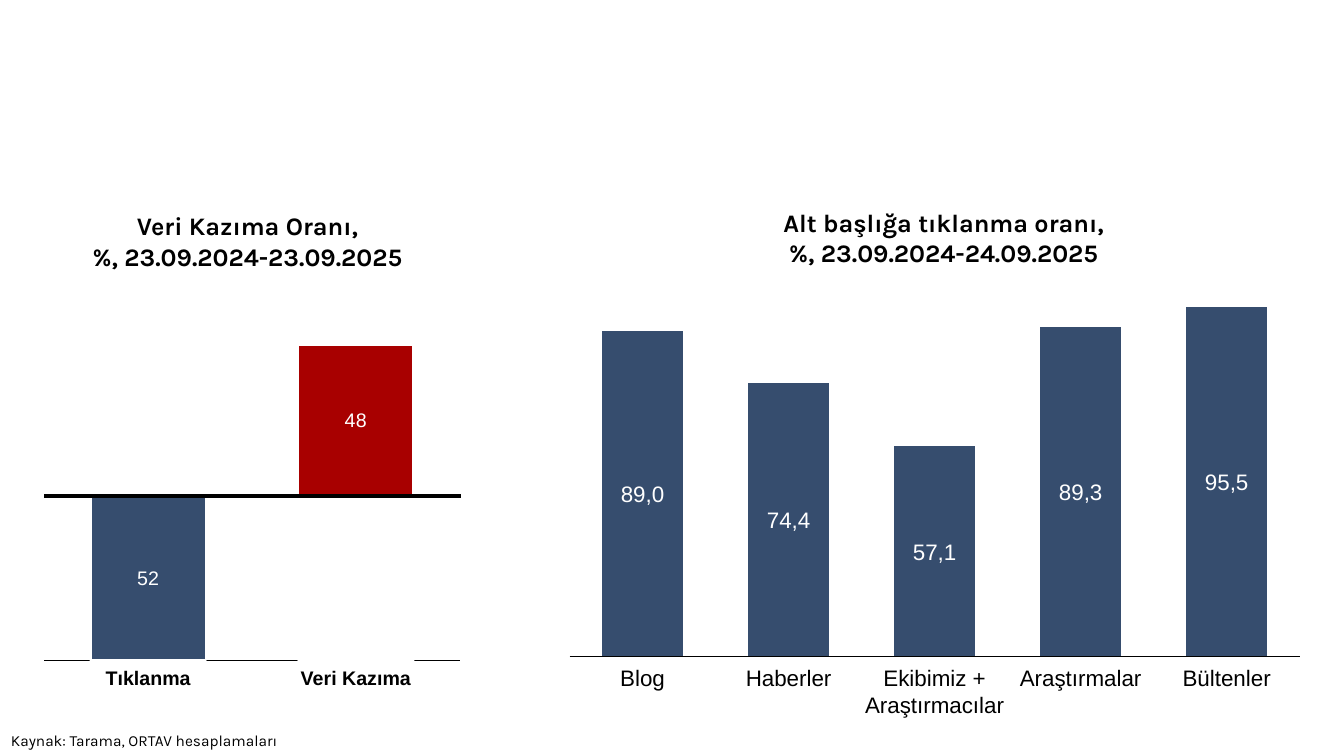
from dataclasses import dataclass

from lxml import etree
from pptx import Presentation
from pptx.chart.data import CategoryChartData
from pptx.dml.color import RGBColor
from pptx.enum.chart import XL_CHART_TYPE as ChartType
from pptx.enum.chart import XL_TICK_LABEL_POSITION as TickLabels
from pptx.enum.chart import XL_TICK_MARK as TickMark
from pptx.enum.shapes import MSO_CONNECTOR as Connector
from pptx.enum.text import MSO_ANCHOR as Anchor
from pptx.enum.text import PP_ALIGN as Align
from pptx.oxml.ns import qn
from pptx.util import Inches, Pt


@dataclass(frozen=True)
class Theme:
    navy: RGBColor = RGBColor(0x36, 0x4D, 0x6E)
    red: RGBColor = RGBColor(0xA8, 0x00, 0x00)
    black: RGBColor = RGBColor(0, 0, 0)
    white: RGBColor = RGBColor(0xFF, 0xFF, 0xFF)
    heading_font: str = "Karla"
    label_font: str = "Arial"
    heading_size: int = 18
    category_size: int = 16
    small_label_size: int = 14
    source_size: int = 11
    chart_size: int = 10


THEME = Theme()

# Chart frames and inner plot areas: left, top, width, height
SCRAPING_FRAME = (0.35, 3.09, 4.3, 3.8)
SCRAPING_PLOT = (0.021, 0.088, 0.958, 0.823)
CLICKS_FRAME = (5.56, 2.95, 7.42, 3.66)
CLICKS_PLOT = (0.012, 0.025, 0.976, 0.948)
AXIS_MAX = 100

# Category, printed rate, bar height on the axis
CLICKS = [
    ("Blog", "89,0", 93),
    ("Haberler", "74,4", 78),
    ("Ekibimiz + Araştırmacılar", "57,1", 60),
    ("Araştırmalar", "89,3", 94),
    ("Bültenler", "95,5", 100),
]
SCRAPING_CATEGORIES = ["Tıklanma", "Veri Kazıma"]


def style_font(font, size, color, name, bold=False):
    font.size, font.name, font.bold = Pt(size), name, bold
    font.color.rgb = color


def add_text(slide, box, lines, size, color=THEME.black, name=THEME.label_font,
             bold=False, align=Align.CENTER, anchor=Anchor.TOP, padded=False):
    shape = slide.shapes.add_textbox(*map(Inches, box))
    frame = shape.text_frame
    frame.word_wrap = True
    frame.vertical_anchor = anchor
    if not padded:
        frame.margin_left = frame.margin_right = 0
        frame.margin_top = frame.margin_bottom = 0
    frame.text = "\n".join(lines)
    for paragraph in frame.paragraphs:
        paragraph.alignment = align
        style_font(paragraph.font, size, color, name, bold)


def add_heading(slide, box, lines):
    add_text(slide, box, lines, THEME.heading_size, name=THEME.heading_font,
             bold=True, padded=True)


def set_plot_area(chart, plot):
    plot_area = chart._chartSpace.find(".//" + qn("c:plotArea"))
    for layout in plot_area.findall(qn("c:layout")):
        plot_area.remove(layout)
    layout = etree.Element(qn("c:layout"))
    manual = etree.SubElement(layout, qn("c:manualLayout"))
    settings = [("layoutTarget", "inner"), ("xMode", "edge"), ("yMode", "edge")]
    settings += zip("xywh", map(str, plot))
    for tag, value in settings:
        etree.SubElement(manual, qn(f"c:{tag}")).set("val", value)
    plot_area.insert(0, layout)


def add_column_chart(slide, frame, plot, categories, series):
    """Add a stacked column chart; series holds (name, values, color)."""
    data = CategoryChartData()
    data.categories = categories
    for name, values, _ in series:
        data.add_series(name, values)
    chart = slide.shapes.add_chart(
        ChartType.COLUMN_STACKED, *map(Inches, frame), data).chart
    chart.has_legend = chart.has_title = False
    style_font(chart.font, THEME.chart_size, THEME.black, THEME.heading_font)
    chart.plots[0].gap_width, chart.plots[0].overlap = 80, 100
    chart.plots[0].vary_by_categories = False

    value_axis = chart.value_axis
    value_axis.minimum_scale, value_axis.maximum_scale = 0, AXIS_MAX
    value_axis.has_major_gridlines = False
    value_axis.visible = False
    category_axis = chart.category_axis
    category_axis.tick_label_position = TickLabels.NONE
    category_axis.major_tick_mark = category_axis.minor_tick_mark = TickMark.NONE
    category_axis.format.line.color.rgb = THEME.black
    category_axis.format.line.width = Pt(0.75)

    for column, (_, _, color) in zip(chart.series, series):
        column.invert_if_negative = False
        column.format.fill.solid()
        column.format.fill.fore_color.rgb = color
    set_plot_area(chart, plot)
    return chart


def category_centers(frame, plot, count):
    pitch = frame[2] * plot[2] / count
    start = frame[0] + frame[2] * plot[0]
    return [start + pitch * (index + 0.5) for index in range(count)]


def add_category_labels(slide, centers, names, top, size, bold=False):
    width = 1.4
    for center, name in zip(centers, names):
        add_text(slide, (center - width / 2, top, width, 0.27), [name], size, bold=bold)


def add_scraping_panel(slide):
    chart = add_column_chart(
        slide, SCRAPING_FRAME, SCRAPING_PLOT, SCRAPING_CATEGORIES,
        [("Tıklanma", (52, 52), THEME.navy), ("Veri Kazıma", (None, 48), THEME.red)])
    clicked, scraped = chart.series

    # White outlines, and a white base that lifts the red column
    base = clicked.points[1].format
    base.fill.solid()
    base.fill.fore_color.rgb = THEME.white
    for item in (clicked.format, scraped.format, base):
        item.line.color.rgb = THEME.white
        item.line.width = Pt(1.5)

    # One value label on each visible column
    for index, column in enumerate((clicked, scraped)):
        column.data_labels.show_value = False
        style_font(column.points[index].data_label.font,
                   THEME.small_label_size, THEME.white, THEME.label_font)

    # Dividing line between the two columns
    divider = slide.shapes.add_connector(
        Connector.STRAIGHT, Inches(0.44), Inches(4.92), Inches(4.57), Inches(4.92))
    divider.line.color.rgb = THEME.black
    divider.line.width = Pt(3)
    etree.SubElement(divider._element.spPr, qn("a:effectLst"))

    centers = category_centers(SCRAPING_FRAME, SCRAPING_PLOT, len(SCRAPING_CATEGORIES))
    add_category_labels(slide, centers, SCRAPING_CATEGORIES, 6.61,
                        THEME.small_label_size, bold=True)


def add_clicks_panel(slide):
    names, rates, heights = zip(*CLICKS)
    add_column_chart(slide, CLICKS_FRAME, CLICKS_PLOT, names,
                     [("Tıklanma oranı", heights, THEME.navy)])
    centers = category_centers(CLICKS_FRAME, CLICKS_PLOT, len(CLICKS))
    add_category_labels(slide, centers, names, 6.59, THEME.category_size)

    # Printed rates at the middle of each column
    _, top, _, height = CLICKS_FRAME
    baseline = top + height * (CLICKS_PLOT[1] + CLICKS_PLOT[3])
    scale = height * CLICKS_PLOT[3] / AXIS_MAX
    for center, rate, value in zip(centers, rates, heights):
        middle = baseline - value * scale / 2
        add_text(slide, (center - 0.3, middle - 0.135, 0.6, 0.27), [rate],
                 THEME.category_size, THEME.white, anchor=Anchor.MIDDLE)


def main():
    presentation = Presentation()
    presentation.slide_width, presentation.slide_height = Inches(13.33), Inches(7.5)
    slide = presentation.slides.add_slide(presentation.slide_layouts[6])

    add_scraping_panel(slide)
    add_clicks_panel(slide)

    # Source line and chart headings
    add_text(slide, (0.01, 7.2, 13.32, 0.29), ["Kaynak: Tarama, ORTAV hesaplamaları"],
             THEME.source_size, name=THEME.heading_font, align=Align.LEFT, padded=True)
    add_heading(slide, (0.44, 2.04, 4.03, 0.71),
                ["Veri Kazıma Oranı,", "%, 23.09.2024-23.09.2025"])
    add_heading(slide, (6.48, 2.01, 5.76, 0.71),
                ["Alt başlığa tıklanma oranı,", "%, 23.09.2024-24.09.2025"])
    presentation.save("out.pptx")


if __name__ == "__main__":
    main()
